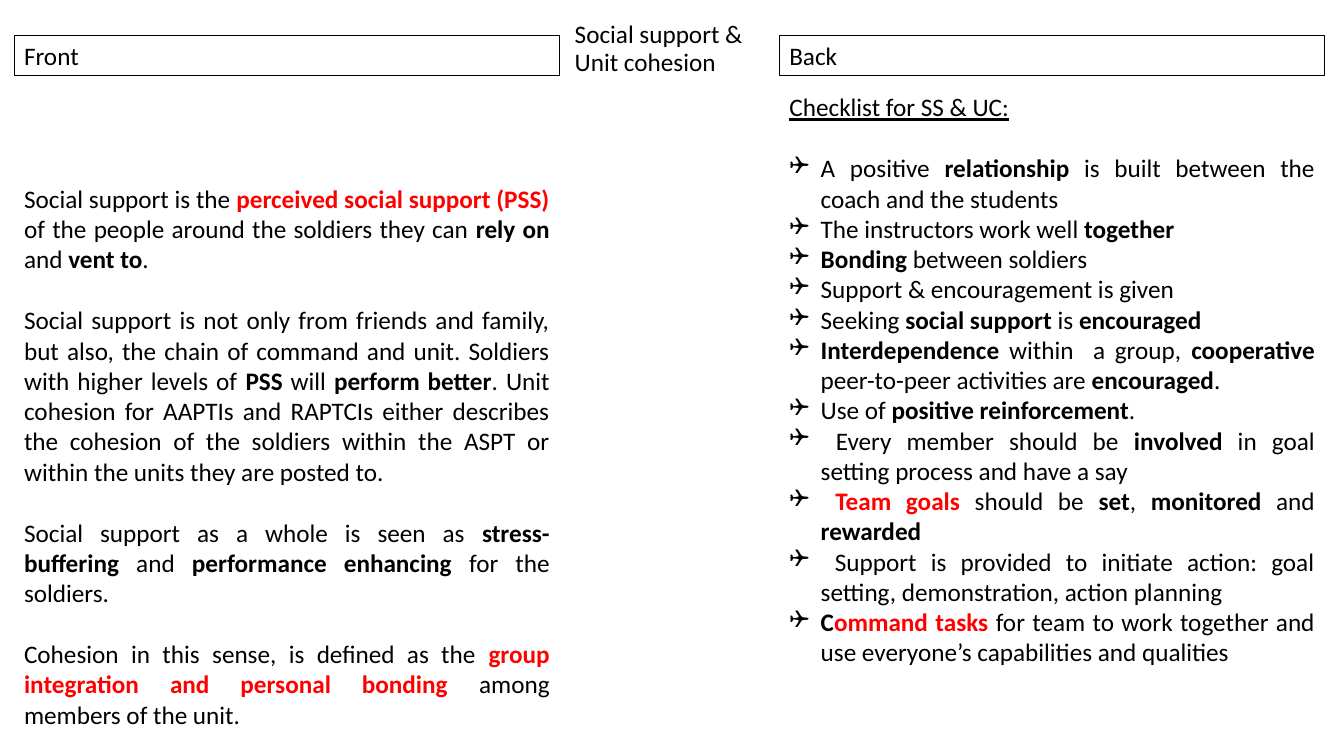
from lxml import etree
from pptx import Presentation
from pptx.dml.color import RGBColor
from pptx.enum.shapes import MSO_SHAPE
from pptx.enum.text import MSO_ANCHOR, MSO_AUTO_SIZE, PP_ALIGN
from pptx.oxml.ns import qn
from pptx.util import Inches, Pt

RECTANGLE = MSO_SHAPE.RECTANGLE
TOP, MIDDLE, BOTTOM = MSO_ANCHOR.TOP, MSO_ANCHOR.MIDDLE, MSO_ANCHOR.BOTTOM
LEFT, JUSTIFY = PP_ALIGN.LEFT, PP_ALIGN.JUSTIFY
NO_FIT = MSO_AUTO_SIZE.NONE
BLACK = RGBColor(0, 0, 0)
RED = RGBColor(255, 0, 0)

# Content: *bold*, *!bold and red*
TITLE = "Social support & Unit cohesion"
HEADINGS = ["Front", "Back"]
FRONT = [
    "Social support is the *!perceived social support (PSS) *of the people around "
    "the soldiers they can *rely on *and *vent to*.",
    "Social support is not only from friends and family, but also, the chain of "
    "command and unit. Soldiers with higher levels of *PSS* will *perform better*. "
    "Unit cohesion for AAPTIs and RAPTCIs either describes the cohesion of the "
    "soldiers within the ASPT or within the units they are posted to. ",
    "Social support as a whole is seen as *stress-buffering* and "
    "*performance enhancing* for the soldiers.",
    "Cohesion in this sense, is defined as the *!group integration and personal "
    "bonding *among members of the unit. ",
]
CHECKLIST_TITLE = "Checklist for SS & UC:"
CHECKLIST = [
    "A positive *relationship* is built between the coach and the students",
    "The instructors work well *together*",
    "*Bonding* between soldiers",
    "Support & encouragement is given",
    "Seeking *social support *is *encouraged*",
    "*Interdependence* within  a group, *cooperative* peer-to-peer activities are "
    "*encouraged*.",
    "Use of *positive reinforcement*.",
    " Every member should be *involved* in goal setting process and have a say",
    " *!Team goals *should be *set*, *monitored* and *rewarded*",
    " Support is provided to initiate action: goal setting, demonstration, "
    "action planning",
    "*C**!ommand tasks *for team to work together and use everyone’s capabilities "
    "and qualities",
]

# Two equal columns with the title between them
MARGIN, COLUMN, GUTTER = 0.14, 5.41, 2.18
COLUMN_LEFTS = [MARGIN + i * (COLUMN + GUTTER) for i in range(2)]
HEADING_TOP, HEADING_HEIGHT = 0.35, 0.4
FONT_SIZE = Pt(18)
LINE_GAP = Pt(22)
HANGING = Inches(0.31)


def place(shape, left, top, width, height, anchor):
    shape.left, shape.top = Inches(left), Inches(top)
    shape.width, shape.height = Inches(width), Inches(height)
    frame = shape.text_frame
    frame.word_wrap = True
    frame.auto_size = NO_FIT
    frame.vertical_anchor = anchor
    return frame


def write(frame, index, text, align=JUSTIFY, before=Pt(0), bullet=None):
    para = frame.paragraphs[0] if index == 0 else frame.add_paragraph()
    para.alignment = align
    para.space_before = before
    if bullet:
        properties = para._p.get_or_add_pPr()
        properties.set("marL", str(HANGING))
        properties.set("indent", str(-HANGING))
        etree.SubElement(properties, qn("a:buFont"), typeface="Wingdings")
        etree.SubElement(properties, qn("a:buChar"), char=bullet)
    para.font.name = "Calibri"
    para.font.size = FONT_SIZE
    para.font.color.rgb = BLACK
    for position, part in enumerate(text.split("*")):
        if not part:
            continue
        span = para.add_run()
        span.text = part.removeprefix("!")
        if position % 2:
            span.font.bold = True
        if part.startswith("!"):
            span.font.color.rgb = RED
    return para


deck = Presentation()
deck.slide_width, deck.slide_height = Inches(13.33), Inches(7.5)
page = deck.slides.add_slide(deck.slide_layouts[0])
title, checklist = page.placeholders

# Title
title_frame = place(title, 5.6, 0.09, 2.17, 0.72, BOTTOM)
write(title_frame, 0, TITLE, LEFT).line_spacing = 0.9

# Column headings
for left, heading in zip(COLUMN_LEFTS, HEADINGS):
    box = page.shapes.add_shape(RECTANGLE, 0, 0, 0, 0)
    box.shadow.inherit = False
    box.fill.background()
    box.line.color.rgb = BLACK
    box.line.width = Pt(0.75)
    write(place(box, left, HEADING_TOP, COLUMN, HEADING_HEIGHT, TOP), 0, heading, LEFT)

# Front text
front = page.shapes.add_textbox(0, 0, 0, 0)
front_frame = place(front, COLUMN_LEFTS[0], 1.75, COLUMN, 5.55, MIDDLE)
for index, text in enumerate(FRONT):
    write(front_frame, index, text, before=LINE_GAP if index else Pt(0))

# Back checklist
back_frame = place(checklist, COLUMN_LEFTS[1], 0.86, COLUMN, 5.86, TOP)
write(back_frame, 0, CHECKLIST_TITLE).font.underline = True
for index, text in enumerate(CHECKLIST, 1):
    write(back_frame, index, text, before=LINE_GAP if index == 1 else Pt(0), bullet="❑")

deck.save("out.pptx")
